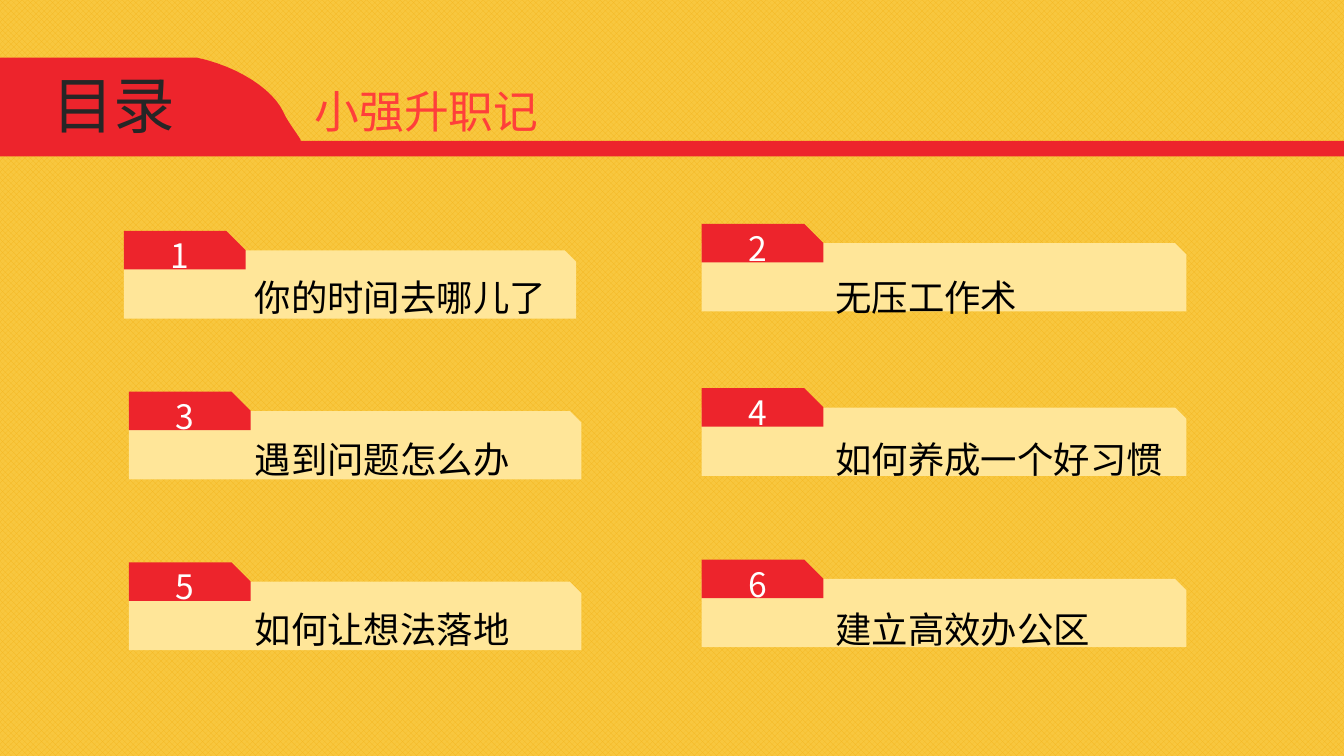
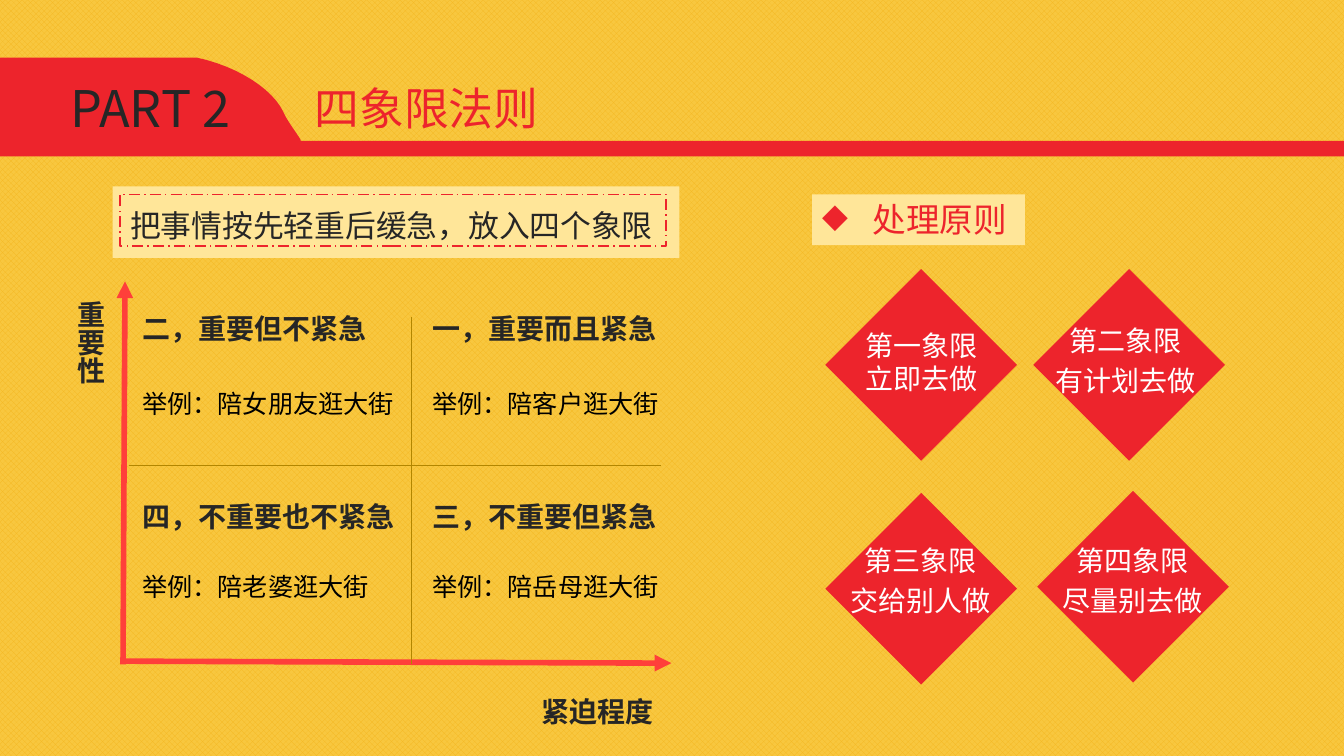
from lxml import etree
from pptx import Presentation
from pptx import util as u
from pptx.dml.color import RGBColor
from pptx.enum import dml, shapes, text
from pptx.oxml.ns import qn

Cm, Pt = u.Cm, u.Pt
KIND = shapes.MSO_SHAPE
LEFT, MID = text.PP_ALIGN.LEFT, text.PP_ALIGN.CENTER
FACE = "Noto Sans CJK SC"
RED, CORAL, CREAM = "ED242C", "FF3F3A", "FFE699"
DARK, BLACK, WHITE = "262626", "000000", "FFFFFF"
GOLD = "B28600"


def paint(fill, tone):
    """Make a shape, line or font fill solid."""
    fill.solid()
    fill.fore_color.rgb = RGBColor.from_string(tone)


def write(shape, words, size, tone, bold=False, align=LEFT, lead=None,
          after=None, anchor=text.MSO_ANCHOR.TOP):
    frame = shape.text_frame
    frame.text = words
    frame.word_wrap = True
    frame.auto_size = text.MSO_AUTO_SIZE.NONE
    frame.vertical_anchor = anchor
    for para in frame.paragraphs:
        para.alignment = align
        if lead:
            para.line_spacing = lead
        if after:
            para.space_after = Pt(after)
        para.font.size = Pt(size)
        para.font.bold = bold
        para.font.name = FACE
        paint(para.font.fill, tone)
    for node in shape.element.iter(qn("a:defRPr")):
        etree.SubElement(node, qn("a:ea"), typeface=FACE)


prs = Presentation()
prs.slide_width, prs.slide_height = Cm(33.87), Cm(19.05)

# Shared background
back = prs.slide_master.background.fill
back.patterned()
back.pattern = dml.MSO_PATTERN.SOLID_DIAMOND
back.fore_color.rgb = RGBColor.from_string("F4B61E")
back.back_color.rgb = RGBColor.from_string("F8C73F")

# Shared header band, kept on the layout
layout = prs.slide_layouts.get_by_name("Title Only")
menu, part = [prs.slides.add_slide(layout) for _ in range(2)]
bar = menu.shapes.add_shape(KIND.RECTANGLE, 0, Cm(3.55), prs.slide_width, Cm(0.39))
edge = [(4.95, 1.45)]
for curve in ([(6.02, 1.68), (6.88, 2.26), (7.14, 2.82)],
              [(7.24, 3.05), (7.44, 3.3), (7.57, 3.51)]):
    ends = [edge[-1], *curve]
    for step in range(1, 13):
        t = step / 12
        parts = ((1 - t) ** 3, 3 * t * (1 - t) ** 2, 3 * t * t * (1 - t), t ** 3)
        edge.append(tuple(sum(k * end[axis] for k, end in zip(parts, ends))
                          for axis in (0, 1)))
edge += [(7.62, 3.7), (0, 3.7)]
pen = menu.shapes.build_freeform(0, Cm(1.45))
pen.add_line_segments([(Cm(x), Cm(y)) for x, y in edge], close=True)
for spot, shape in enumerate((bar, pen.convert_to_shape()), 2):
    paint(shape.fill, RED)
    shape.line.fill.background()
    shape.shadow.inherit = False
    layout.shapes.element.insert(spot, shape.element)

# Tab label and title of each slide
for page, label, size, area, title, top, tone in (
        (menu, "目录", 44, (1.07, 1.55, 4.62, 2.13), "小强升职记", 1.98, CORAL),
        (part, "PART 2", 36, (1.52, 1.83, 5.08, 1.8), "四象限法则", 1.9, RED)):
    head = page.shapes.title
    head.left, head.top, head.width, head.height = map(Cm, (7.67, top, 6.5, 1.62))
    write(head, title, 32, tone)
    write(page.shapes.add_textbox(*map(Cm, area)), label, size, DARK)

# Contents cards: left edge, top of tab, panel width, text left
cards = (
    ("你的时间去哪儿了", 3.12, 5.82, 11.4, 6.17),
    ("无压工作术", 17.68, 5.64, 12.22, 20.8),
    ("遇到问题怎么办", 3.25, 9.87, 11.4, 6.17),
    ("如何养成一个好习惯", 17.68, 9.78, 12.22, 20.8),
    ("如何让想法落地", 3.25, 14.17, 11.4, 6.17),
    ("建立高效办公区", 17.68, 14.1, 12.22, 20.8),
)
rows = (6.25, 10.33, 14.63)
for index, (words, x, y, wide, start) in enumerate(cards):
    panel = menu.shapes.add_shape(KIND.SNIP_1_RECTANGLE, Cm(x), Cm(y + 0.49),
                                  Cm(wide), Cm(1.72))
    paint(panel.fill, CREAM)
    box = menu.shapes.add_textbox(Cm(start), Cm(rows[index // 2]), Cm(9.2), Cm(1.73))
    write(box, words, 26, BLACK, lead=1.5)
    tab = menu.shapes.add_shape(KIND.SNIP_1_RECTANGLE, Cm(x), Cm(y), Cm(3.07), Cm(0.97))
    tab.adjustments[0] = 0.5
    paint(tab.fill, RED)
    write(tab, str(index + 1), 24, WHITE, align=MID, anchor=text.MSO_ANCHOR.MIDDLE)

# Rule of the four quadrants
plate = part.shapes.add_shape(KIND.RECTANGLE, Cm(2.84), Cm(4.7), Cm(14.28), Cm(1.8))
paint(plate.fill, CREAM)
frame = part.shapes.add_shape(KIND.RECTANGLE, Cm(3.03), Cm(4.9), Cm(13.76), Cm(1.3))
frame.fill.background()
paint(frame.line.fill, RED)
frame.line.width = Pt(1)
frame.line.dash_style = dml.MSO_LINE.LONG_DASH_DOT
write(frame, "把事情按先轻重后缓急，放入四个象限", 22, DARK, lead=1.2)

# Axes and dividers
for ends, tone, width, arrow in (
        ((3.1, 16.74, 3.15, 7.09), CORAL, 4, True),
        ((3.12, 16.66, 16.92, 16.71), CORAL, 4, True),
        ((3.25, 11.73, 16.66, 11.73), GOLD, 0.5, False),
        ((10.36, 8, 10.36, 16.74), GOLD, 0.5, False)):
    line = part.shapes.add_connector(shapes.MSO_CONNECTOR.STRAIGHT, *map(Cm, ends))
    paint(line.line.fill, tone)
    line.line.width = Pt(width)
    props = line.element.spPr
    if arrow:
        etree.SubElement(props.find(qn("a:ln")), qn("a:tailEnd"), type="triangle")
    etree.SubElement(props, qn("a:effectLst"))

across = part.shapes.add_textbox(Cm(13.39), Cm(17.37), Cm(4.14), Cm(1.12))
write(across, "紧迫程度", 20, DARK, bold=True)
upward = part.shapes.add_textbox(Cm(1.45), Cm(7.34), Cm(1.37), Cm(2.92))
write(upward, "重要性", 20, DARK, bold=True)
upward.element.txBody.bodyPr.set("vert", "eaVert")

for x, y, gap, name, case in (
        (10.64, 7.72, 1.93, "一，重要而且紧急", "陪客户逛大街"),
        (3.33, 7.72, 1.93, "二，重要但不紧急", "陪女朋友逛大街"),
        (3.33, 12.47, 1.8, "四，不重要也不紧急", "陪老婆逛大街"),
        (10.64, 12.47, 1.8, "三，不重要但紧急", "陪岳母逛大街")):
    box = part.shapes.add_textbox(Cm(x), Cm(y), Cm(7.1), Cm(1.12))
    write(box, name, 20, DARK, bold=True)
    box = part.shapes.add_textbox(Cm(x), Cm(y + gap), Cm(7.1), Cm(1.02))
    write(box, "举例：" + case, 18, BLACK)

# How to treat each quadrant
rule = part.shapes.add_shape(KIND.RECTANGLE, Cm(20.47), Cm(4.9), Cm(5.36), Cm(1.28))
paint(rule.fill, CREAM)
write(rule, "处理原则", 24, RED)
style = next(rule.element.iter(qn("a:defRPr")))
style.getparent().set("marL", str(Cm(1.27)))
style.getparent().set("indent", str(-Cm(1.27)))
mark = etree.Element(qn("a:buChar"), char="◆")
style.addprevious(mark)

for x, y, area, words, look in (
        (20.8, 6.78, (21.56, 8.15, 3.58, 1.96), "第一象限\n立即去做", {}),
        (26.04, 6.78, (26.16, 8.13, 4.42, 2.11), "第二象限\n有计划去做",
         {"align": MID, "lead": 0.9, "after": 7}),
        (20.8, 12.42, (21.01, 13.67, 4.37, 2.11), "第三象限\n交给别人做",
         {"align": MID, "lead": 0.9, "after": 7}),
        (26.14, 12.37, (26.49, 13.67, 4.11, 2.11), "第四象限\n尽量别去做",
         {"align": MID, "lead": 0.9, "after": 7})):
    gem = part.shapes.add_shape(KIND.DIAMOND, Cm(x), Cm(y), Cm(4.83), Cm(4.83))
    paint(gem.fill, RED)
    write(part.shapes.add_textbox(*map(Cm, area)), words, 20, WHITE, **look)

# Flat look: no shadows, and no outline unless one was set
for page in prs.slides:
    for shape in page.shapes:
        if shape.shape_type == shapes.MSO_SHAPE_TYPE.AUTO_SHAPE:
            shape.shadow.inherit = False
            if shape.line.fill.type is None:
                shape.line.fill.background()

prs.save("out.pptx")
